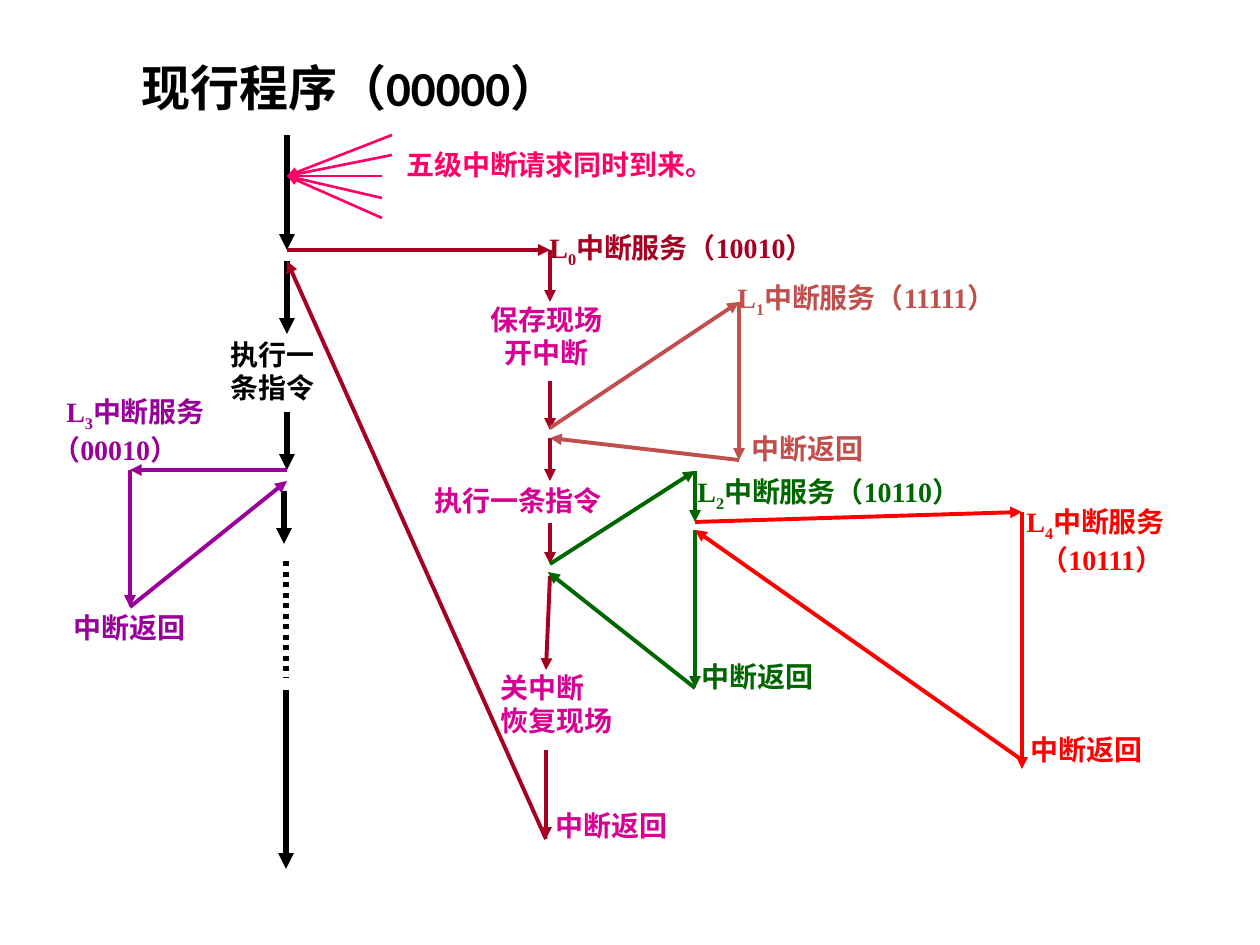
from dataclasses import dataclass
from itertools import pairwise
from typing import NamedTuple

from pptx import Presentation
from pptx.dml.color import RGBColor
from pptx.enum.dml import MSO_LINE
from pptx.enum.shapes import MSO_CONNECTOR
from pptx.enum.text import MSO_ANCHOR, MSO_AUTO_SIZE as AutoSize, PP_ALIGN
from pptx.oxml.ns import qn
from pptx.util import Emu, Pt
from lxml.etree import SubElement


@dataclass(frozen=True)
class Theme:
    ink: str = "000000"
    request: str = "FF0066"
    step: str = "D60093"
    level0: str = "A50021"
    level1: str = "C0504D"
    level2: str = "006600"
    level3: str = "990099"
    level4: str = "FF0000"
    title_font: str = "Calibri"
    label_font: str = "Times New Roman"
    title_size: int = 28
    label_size: int = 16
    main_line: float = 3
    request_line: float = 1.5
    service_line: float = 2.25


class Line(NamedTuple):
    text: str
    level: str = ""  # subscript after a leading L
    indent: int = 0


class Label(NamedTuple):
    color: str
    box: tuple[int, int, int, int]
    lines: list[Line]
    wrap: bool = False


class Route(NamedTuple):
    """A chain of arrows, one for each pair of neighbouring points."""
    color: str
    width: float
    points: list[tuple[int, int]]
    dotted: bool = False


THEME = Theme()
PX_PER_INCH = 126


def px(length: int) -> Emu:
    return Emu(round(length * 914400 / PX_PER_INCH))


def style_font(font, color: str, name: str, size: int) -> None:
    for key, value in {"name": name, "size": Pt(size), "bold": True}.items():
        setattr(font, key, value)
    font.color.rgb = RGBColor.from_string(color)


def draw_title(slide, text: str, box: tuple[int, int, int, int]) -> None:
    title = slide.shapes.title
    for key, value in zip(("left", "top", "width", "height"), box):
        setattr(title, key, px(value))
    frame = title.text_frame
    frame.text = text
    frame_format = {"auto_size": AutoSize.NONE, "word_wrap": True,
                    "vertical_anchor": MSO_ANCHOR.MIDDLE}
    for key, value in frame_format.items():
        setattr(frame, key, value)
    heading = frame.paragraphs[0]
    heading.alignment = PP_ALIGN.LEFT
    style_font(heading.runs[0].font, THEME.ink, THEME.title_font, THEME.title_size)


def draw_label(slide, label: Label) -> None:
    frame = slide.shapes.add_textbox(*map(px, label.box)).text_frame
    frame.word_wrap = label.wrap
    frame.auto_size = AutoSize.SHAPE_TO_FIT_TEXT
    for index, line in enumerate(label.lines):
        paragraph = frame.add_paragraph() if index else frame.paragraphs[0]
        if line.indent:
            paragraph._p.get_or_add_pPr().set("marL", str(px(line.indent)))
        parts = ["L", line.level, line.text] if line.level else [line.text]
        for position, part in enumerate(parts):
            run = paragraph.add_run()
            run.text = part
            style_font(run.font, label.color, THEME.label_font, THEME.label_size)
            if position == 1:
                run.font._element.set("baseline", "-25000")


def draw_route(slide, route: Route) -> None:
    for start, end in pairwise(route.points):
        arrow = slide.shapes.add_connector(
            MSO_CONNECTOR.STRAIGHT, *map(px, start + end))
        arrow.line.width = Pt(route.width)
        arrow.line.color.rgb = RGBColor.from_string(route.color)
        if route.dotted:
            arrow.line.dash_style = MSO_LINE.ROUND_DOT
        else:
            SubElement(arrow.line._get_or_add_ln(), qn("a:tailEnd"), type="triangle")
        SubElement(arrow._element.spPr, qn("a:effectLst"))


# Columns shared by the arrows
MAIN, SERVICE0, LEAVE0 = 287, 550, 546
SERVICE1, SERVICE2, SERVICE3, SERVICE4 = 739, 695, 130, 1022
REQUEST = (MAIN, 176)


def vertical(color: str, width: float, x: int, top: int, bottom: int,
             dotted: bool = False) -> Route:
    return Route(color, width, [(x, top), (x, bottom)], dotted)


MAIN_PROGRAM = [
    vertical(THEME.ink, THEME.main_line, x, top, bottom)
    for x, top, bottom in [(MAIN, 135, 250), (MAIN, 261, 334), (MAIN, 412, 470),
                           (284, 491, 544), (286, 690, 869)]
] + [vertical(THEME.ink, THEME.main_line, 286, 561, 677, dotted=True)]

REQUESTS = [
    Route(THEME.request, THEME.request_line, [origin, REQUEST])
    for origin in [(392, 135), (392, 155), (382, 176), (382, 198), (382, 218)]
]

LEVEL0_STEPS = [
    vertical(THEME.level0, THEME.service_line, SERVICE0, top, bottom)
    for top, bottom in [(381, 430), (438, 481), (523, 564)]
]

SERVICES = [
    Route(color, THEME.service_line, points) for color, points in [
        (THEME.level0, [(MAIN, 250), (SERVICE0, 250), (SERVICE0, 302)]),
        (THEME.level0, [(SERVICE0, 576), (LEAVE0, 670)]),
        (THEME.level0, [(LEAVE0, 750), (LEAVE0, 839), (MAIN, 261)]),
        (THEME.level1, [(SERVICE0, 428), (SERVICE1, 302),
                        (SERVICE1, 460), (SERVICE0, 438)]),
        (THEME.level2, [(SERVICE0, 564), (SERVICE2, 471), (SERVICE2, 522)]),
        (THEME.level2, [(SERVICE2, 530), (SERVICE2, 688), (548, 572)]),
        (THEME.level3, [(MAIN, 470), (SERVICE3, 470),
                        (SERVICE3, 607), (MAIN, 481)]),
        (THEME.level4, [(SERVICE2, 522), (SERVICE4, 512), (SERVICE4, 769)]),
        (THEME.level4, [(SERVICE4, 760), (SERVICE2, 530)]),
    ]
]

STEP_LABELS = [
    Label(THEME.request, (394, 141, 340, 47), [Line("五级中断请求同时到来。")]),
    Label(THEME.ink, (218, 331, 116, 81), [Line("执行一"), Line("条指令")]),
    Label(THEME.step, (478, 296, 144, 81),
          [Line("保存现场"), Line("开中断", indent=14)]),
    Label(THEME.step, (422, 477, 200, 47), [Line("执行一条指令")]),
    Label(THEME.step, (488, 664, 144, 81), [Line("关中断"), Line("恢复现场")]),
]

SERVICE_LABELS = [
    Label(color, (left, top, 320, 52), [Line(f"中断服务（{mask}）", level)])
    for color, left, top, level, mask in [
        (THEME.level0, 537, 224, "0", "10010"),
        (THEME.level1, 725, 274, "1", "11111"),
        (THEME.level2, 685, 468, "2", "10110")]
] + [
    Label(THEME.level3, (40, 388, 202, 84),
          [Line("中断服务", "3", 14), Line("（00010）")], wrap=True),
    Label(THEME.level4, (1014, 498, 184, 84),
          [Line("中断服务", "4"), Line("（10111）", indent=14)]),
]

RETURN_LABELS = [
    Label(color, (left, top, 144, 47), [Line("中断返回")])
    for color, left, top in [
        (THEME.step, 543, 802), (THEME.level1, 739, 425),
        (THEME.level2, 689, 653), (THEME.level3, 61, 604),
        (THEME.level4, 1018, 726)]
]


def main() -> None:
    deck = Presentation()
    deck.slide_width, deck.slide_height = px(1260), px(945)
    slide = deck.slides.add_slide(deck.slide_layouts[5])
    draw_title(slide, "现行程序（00000）", (129, 45, 451, 84))
    # Arrows of the program flow
    for route in MAIN_PROGRAM + REQUESTS + LEVEL0_STEPS + SERVICES:
        draw_route(slide, route)
    # Captions beside the arrows
    for label in STEP_LABELS + SERVICE_LABELS + RETURN_LABELS:
        draw_label(slide, label)
    deck.save("out.pptx")


if __name__ == "__main__":
    main()
